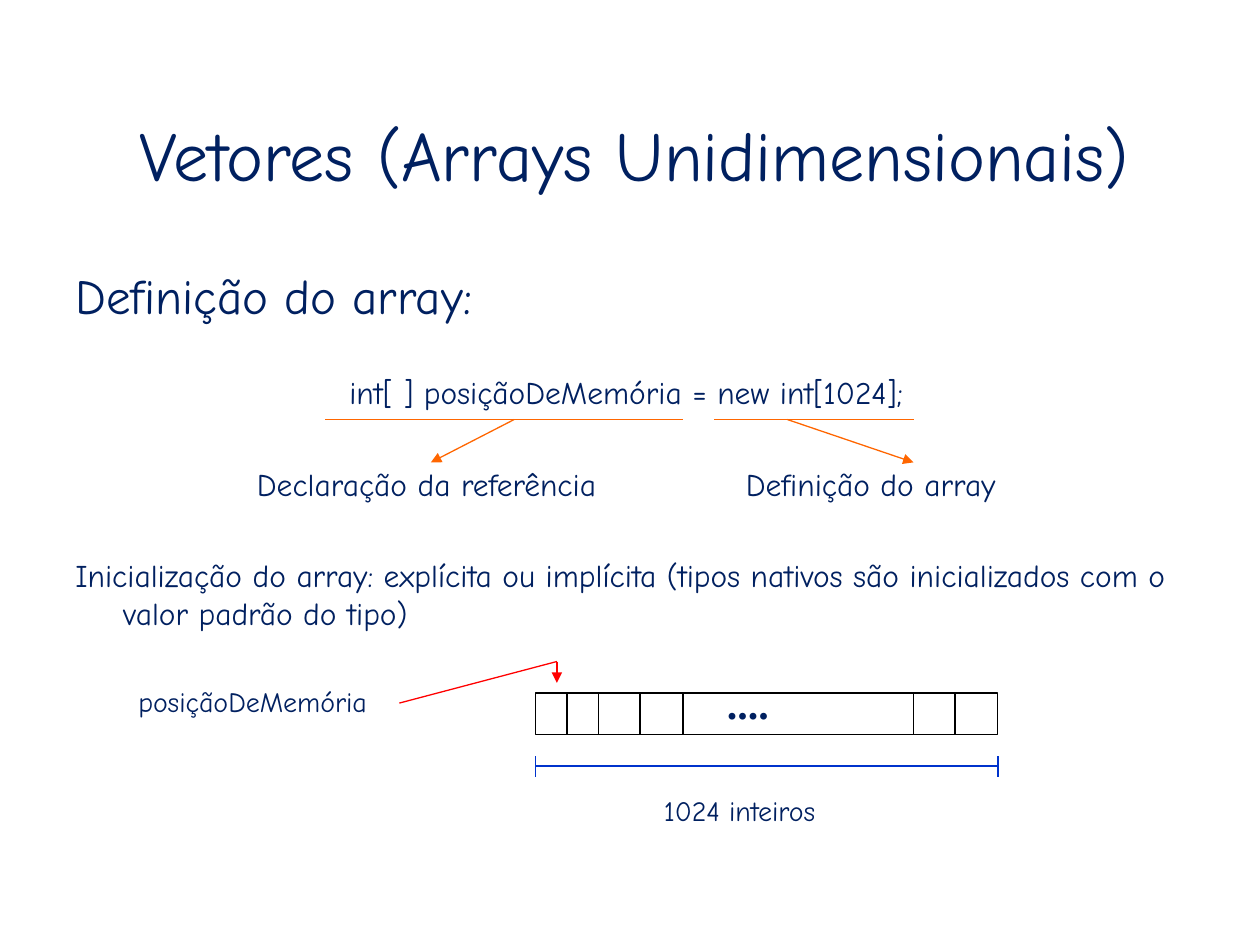
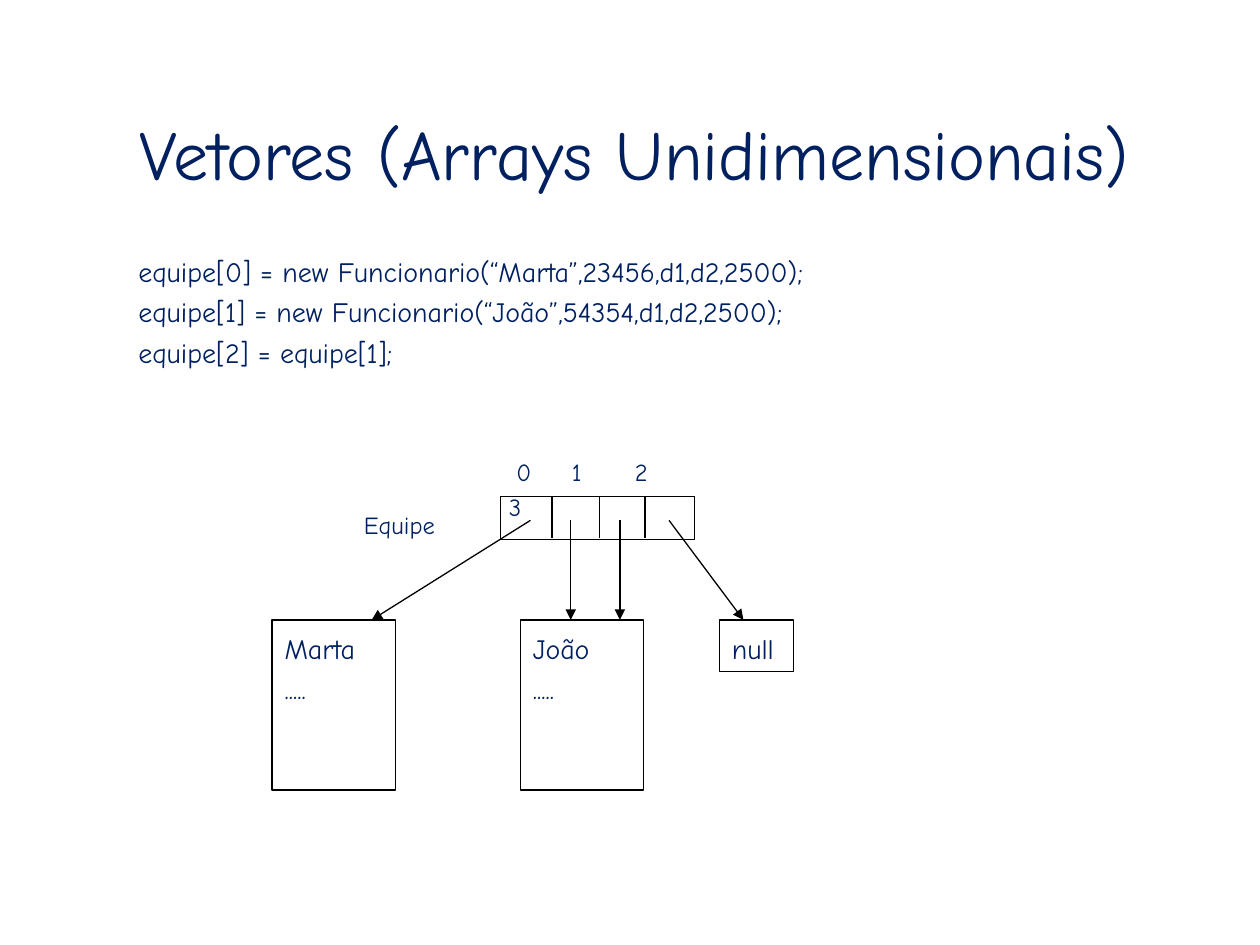
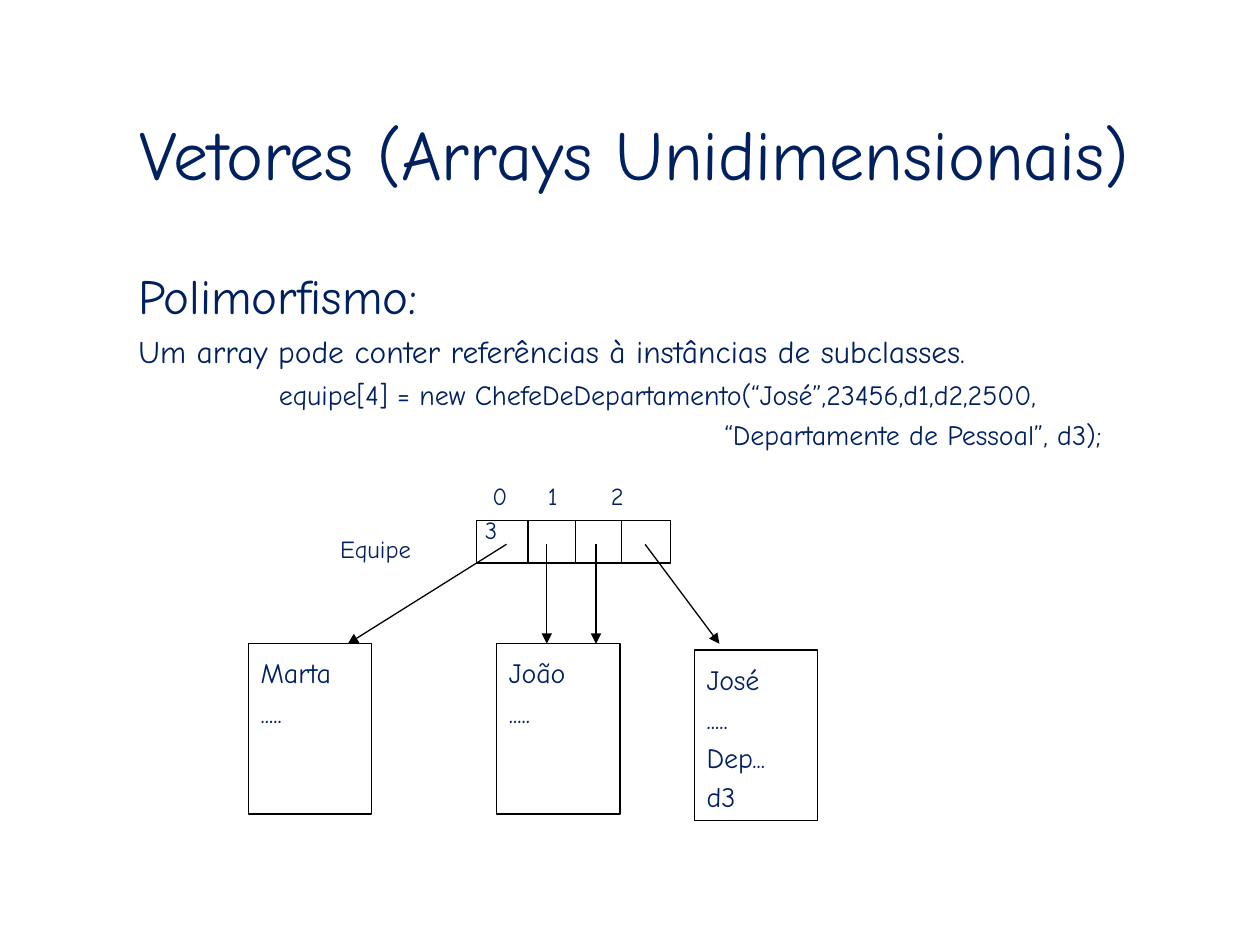
from lxml.etree import SubElement
from pptx import Presentation
from pptx.dml.color import RGBColor
from pptx.enum.shapes import MSO_CONNECTOR, MSO_SHAPE
from pptx.enum.text import MSO_ANCHOR, PP_ALIGN
from pptx.oxml.ns import qn
from pptx.util import Inches, Pt

NAVY = RGBColor(0x00, 0x20, 0x60)
BLACK = RGBColor(0x00, 0x00, 0x00)
ORANGE = RGBColor(0xFF, 0x66, 0x00)
RED = RGBColor(0xFF, 0x00, 0x00)
BLUE = RGBColor(0x00, 0x33, 0xCC)
FONT = "Comic Neue"
TITLE = "Vetores (Arrays Unidimensionais)"
LINE_WIDTH = Pt(0.75)
LOOSE = 1.17
CENTER = PP_ALIGN.CENTER


def add_paragraph(frame, text, size=16, font=FONT, bold=False, align=PP_ALIGN.LEFT,
                  before=0, spacing=None, margin=0, indent=0, tabs=()):
    """Fill the first, still empty paragraph of the frame, or add one after it."""
    first = frame.paragraphs[0]
    para = frame.add_paragraph() if first.runs else first
    properties = para._p.get_or_add_pPr()
    properties.set("marL", str(Inches(margin)))
    properties.set("indent", str(Inches(indent)))
    if tabs:
        tab_list = SubElement(properties, qn("a:tabLst"))
        for stop in tabs:
            SubElement(tab_list, qn("a:tab"), pos=str(Inches(stop)), algn="l")
    para.alignment = align
    para.space_before = Pt(before)
    if spacing:
        para.line_spacing = spacing
    span = para.add_run()
    span.text = text
    span.font.name = font
    span.font.size = Pt(size)
    span.font.bold = bold
    span.font.color.rgb = NAVY


class Deck:
    """Holds the presentation, its style and the slide being drawn."""

    def __init__(self):
        self.deck = Presentation()
        self.deck.slide_width = Inches(10)
        self.deck.slide_height = Inches(7.5)

    def new_page(self, title_top=0.81):
        self.page = self.deck.slides.add_slide(self.deck.slide_layouts[6])
        frame = self.text_box(0.16, title_top, 9.75, 0.78)
        frame.vertical_anchor = MSO_ANCHOR.BOTTOM
        add_paragraph(frame, TITLE, size=40, align=CENTER)

    def text_box(self, left, top, width, height):
        box = self.page.shapes.add_textbox(*map(Inches, (left, top, width, height)))
        box.text_frame.word_wrap = True
        return box.text_frame

    def label(self, text, left, top, width, height, **style):
        add_paragraph(self.text_box(left, top, width, height), text, **style)

    def rectangle(self, left, top, width, height, lines=()):
        box = self.page.shapes.add_shape(
            MSO_SHAPE.RECTANGLE, *map(Inches, (left, top, width, height)))
        box.shadow.inherit = False
        box.fill.background()
        box.line.color.rgb = BLACK
        box.line.width = LINE_WIDTH
        frame = box.text_frame
        frame.word_wrap = True
        frame.vertical_anchor = MSO_ANCHOR.TOP
        for text in lines:
            add_paragraph(frame, text, spacing=LOOSE)

    def line(self, x1, y1, x2, y2, color=BLACK, arrow=False):
        connector = self.page.shapes.add_connector(
            MSO_CONNECTOR.STRAIGHT, *map(Inches, (x1, y1, x2, y2)))
        connector.line.color.rgb = color
        connector.line.width = LINE_WIDTH
        if arrow:
            SubElement(connector.line._get_or_add_ln(), qn("a:tailEnd"), type="triangle")
        SubElement(connector._element.spPr, qn("a:effectLst"))

    def team_diagram(self, left, top):
        """Draw the team array and its employees, with the array's corner at left, top."""
        self.rectangle(left, top, 1.54, 0.34)
        for x in (0.41, 0.79, 1.15):
            self.line(left + x, top, left + x, top + 0.33)
        self.label("Equipe", left - 1.18, top + 0.02, 0.95, 0.37, size=14, spacing=LOOSE)
        for name, x in (("Marta", -1.81), ("João", 0.16)):
            self.rectangle(left + x, top + 0.98, 0.98, 1.35, (name, "....."))
        for start, end in ((0.24, -1.02), (0.56, 0.56), (0.95, 0.95), (1.34, 1.93)):
            self.line(left + start, top + 0.19, left + end, top + 0.98, arrow=True)
        indices = self.text_box(left - 0.03, top - 0.4, 1.54, 0.64)
        add_paragraph(indices, "0\t1\t2", size=14, spacing=LOOSE, indent=0.06,
                      tabs=(0.44, 0.84))
        add_paragraph(indices, "3", size=14, spacing=LOOSE)


def definition_page(deck):
    deck.new_page(title_top=0.82)
    body = deck.text_box(0.5, 2.06, 8.94, 4.56)
    hanging = {"margin": 0.38, "indent": -0.38}
    add_paragraph(body, "Definição do array:", size=28, **hanging)
    add_paragraph(body, "int[ ] posiçãoDeMemória = new int[1024];", size=18,
                  align=CENTER, before=27.8, **hanging)
    add_paragraph(body, "Declaração da referência\t\t\tDefinição do array", size=18,
                  align=CENTER, before=30.7, tabs=range(8), **hanging)
    add_paragraph(body, "Inicialização do array: explícita ou implícita (tipos nativos "
                  "são inicializados com o valor padrão do tipo)", size=18,
                  before=30.7, **hanging)
    add_paragraph(body, "posiçãoDeMemória", before=30.2, margin=0.81, indent=-0.31)

    for start, end, arrow_start, arrow_end in ((2.58, 5.42, 4.08, 3.42),
                                               (5.67, 7.25, 6.25, 7.25)):
        deck.line(start, 3.33, end, 3.33, ORANGE)
        deck.line(arrow_start, 3.33, arrow_end, 3.67, ORANGE, arrow=True)

    left, right = 4.25, 7.92
    deck.rectangle(left, 5.5, right - left, 0.33)
    for x in (4.5, 4.75, 5.08, 5.42, 7.25, 7.58):
        deck.line(x, 5.5, x, 5.83)
    deck.label("....", 5.67, 5.33, 0.75, 0.5, size=24, font="Times New Roman", bold=True)

    deck.line(3.17, 5.58, 4.42, 5.25, RED)
    deck.line(4.42, 5.25, 4.42, 5.42, RED, arrow=True)

    deck.line(left, 6.08, right, 6.08, BLUE)
    for x in (left, right):
        deck.line(x, 6, x, 6.17, BLUE)
    deck.label("1024 inteiros", 5.17, 6.25, 1.67, 0.37)


def references_page(deck):
    deck.new_page()
    body = deck.text_box(0.5, 1.97, 8.94, 3.99)
    for number, code in enumerate((
            "equipe[0] = new Funcionario(“Marta”,23456,d1,d2,2500);",
            "equipe[1] = new Funcionario(“João”,54354,d1,d2,2500);",
            "equipe[2] = equipe[1];")):
        add_paragraph(body, code, before=4 if number else 0, margin=0.81, indent=-0.31)
    deck.team_diagram(3.97, 3.94)
    deck.rectangle(5.71, 4.92, 0.59, 0.41, ("null",))


def polymorphism_page(deck):
    deck.new_page()
    body = deck.text_box(0.5, 2.06, 8.94, 1.92)
    hanging = {"margin": 0.81, "indent": -0.31}
    add_paragraph(body, "Polimorfismo:", size=28, **hanging)
    add_paragraph(body, "Um array pode conter referências à instâncias de subclasses.",
                  size=18, before=4, **hanging)
    add_paragraph(body, "equipe[4] = new ChefeDeDepartamento(“José”,23456,d1,d2,2500,",
                  align=CENTER, before=4.5, **hanging)
    add_paragraph(body, "“Departamente de Pessoal”, d3);", before=4, margin=5.15)
    deck.team_diagram(3.78, 4.13)
    deck.rectangle(5.51, 5.16, 0.98, 1.35, ("José", ".....", "Dep...", "d3"))


def main():
    deck = Deck()
    definition_page(deck)
    references_page(deck)
    polymorphism_page(deck)
    deck.deck.save("out.pptx")


if __name__ == "__main__":
    main()
